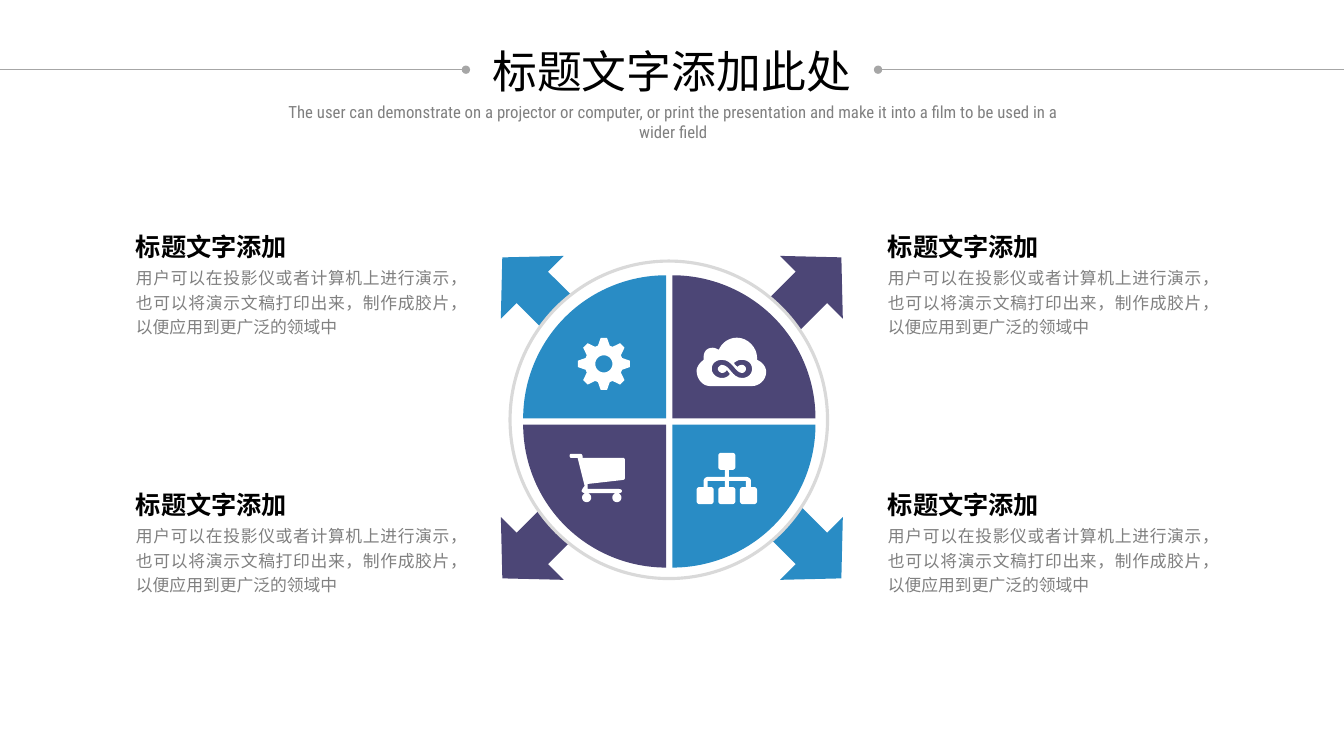
import math

import lxml.etree
import pptx
import pptx.dml.color
import pptx.enum.shapes
import pptx.enum.text
import pptx.oxml.ns
import pptx.util

Pt = pptx.util.Pt
SHAPE = pptx.enum.shapes.MSO_SHAPE
ALIGN = pptx.enum.text.PP_ALIGN
COLORS = {"blue": "298CC5", "purple": "4C4676", "white": "FFFFFF", "ring": "D9D9D9",
          "rule": "A6A6A6", "gray": "808080", "black": "000000"}
HEADING = "标题文字添加"
BODY = "用户可以在投影仪或者计算机上进行演示，也可以将演示文稿打印出来，制作成胶片，以便应用到更广泛的领域中"
SUBTITLE = ("The user can demonstrate on a projector or computer, or print the presentation "
            "and make it into a film to be used in a wider field")
ICON_UNIT = 0.72  # points per icon grid unit

# Outlines: a bare point is a straight line, C takes three points of a cubic curve.
CLOUD = ("69,34 C 69,42 62,48 55,48 13,48 C 6,48 0,41 0,33 C 0,29 3,25 7,22 "
         "C 7,21 7,20 7,19 C 7,14 10,10 16,10 C 18,10 20,11 22,12 C 25,5 32,0 40,0 "
         "C 51,0 60,10 60,20 60,22 C 65,24 69,29 69,34")
INFINITY = ("25,40 C 28,40 31,39 33,36 30,32 C 29,34 27,35 25,35 C 24,35 21,33 21,31 "
            "C 21,29 24,27 25,27 C 33,27 35,40 45,40 C 51,40 55,36 55,31 "
            "C 55,25 50,22 45,22 C 41,22 40,23 37,25 C 38,27 39,28 41,29 "
            "C 41,28 43,27 45,27 C 47,27 49,29 49,31 C 49,33 47,35 45,35 "
            "C 38,35 36,22 25,22 C 20,22 15,25 15,31 C 15,36 20,40 25,40")
CART = ("55,24 C 55,25 54,26 53,26 18,30 C 18,31 18,32 18,33 18,35 49,35 "
        "C 51,35 52,36 52,37 C 52,38 51,39 49,39 15,39 C 14,39 12,38 12,37 "
        "C 12,36 14,33 15,32 8,4 1,4 C 1,4 0,3 0,2 C 0,1 1,0 1,0 10,0 "
        "C 13,0 13,2 13,4 53,4 C 54,4 55,5 55,6")
BRANCHES = ("7,34 7,28 C 7,26 9,24 11,24 28,24 28,17 32,17 32,24 49,24 "
            "C 52,24 54,26 54,28 54,34 49,34 49,28 32,28 32,34 28,34 28,28 11,28 11,34")


def rgb(name):
    return pptx.dml.color.RGBColor.from_string(COLORS[name])


def outline(text, steps=8):
    """Turn an outline string into a list of points."""
    tokens = iter(text.split())
    pts = []

    def point(token):
        return tuple(float(v) for v in token.split(","))

    for token in tokens:
        if token != "C":
            pts.append(point(token))
            continue
        curve = [pts[-1]] + [point(next(tokens)) for _ in range(3)]
        for i in range(1, steps + 1):
            t = i / steps
            weights = ((1 - t) ** 3, 3 * t * (1 - t) ** 2, 3 * t * t * (1 - t), t ** 3)
            pts.append(tuple(sum(w * c[axis] for w, c in zip(weights, curve)) for axis in (0, 1)))
    return pts


def polar(cx, cy, radius, degrees):
    a = math.radians(degrees)
    return cx + radius * math.cos(a), cy + radius * math.sin(a)


def circle(cx, cy, radius):
    return [polar(cx, cy, radius, a) for a in range(0, 360, 10)]


def rounded_square(x, y, size=17, radius=3):
    corners = ((size - radius, size - radius, 0), (radius, size - radius, 90),
               (radius, radius, 180), (size - radius, radius, 270))
    return [polar(x + cx, y + cy, radius, start + turn)
            for cx, cy, start in corners for turn in range(0, 91, 15)]


def gear_teeth():
    profile = ((-18, 19), (-7, 26), (7, 26), (18, 19))
    return [polar(26, 26, radius, tooth + turn)
            for tooth in range(0, 360, 45) for turn, radius in profile]


ICONS = {
    "gear": [gear_teeth(), circle(26, 26, 8.5)],
    "cloud": [outline(CLOUD), outline(INFINITY)],
    "tree": [outline(BRANCHES)] + [rounded_square(x, y)
                                   for x, y in ((21.5, 0), (0, 34), (21.5, 34), (43, 34))],
    "cart": [outline(CART), circle(17, 43.5, 4.5), circle(47, 43.5, 4.5)],
}


def paint(sp, fill, line=None):
    sp.shadow.inherit = False
    sp.fill.solid()
    sp.fill.fore_color.rgb = rgb(fill)
    if line:
        sp.line.color.rgb = rgb(line)
        sp.line.width = Pt(2.25)
    else:
        sp.line.fill.background()


def add_preset(s, kind, x, y, w, h, fill, line=None, rotation=0):
    sp = s.shapes.add_shape(kind, Pt(x), Pt(y), Pt(w), Pt(h))
    sp.rotation = rotation
    paint(sp, fill, line)


def add_icon(s, name, x, y):
    contours = [[(Pt(x + px * ICON_UNIT), Pt(y + py * ICON_UNIT)) for px, py in pts]
                for pts in ICONS[name]]
    builder = s.shapes.build_freeform(*contours[0][0])
    for i, pts in enumerate(contours):
        if i:
            builder.move_to(*pts[0])
        builder.add_line_segments(pts[1:], close=True)
    paint(builder.convert_to_shape(), "white")


def add_text(s, x, y, w, h, text, color, align, spacing=None, wrap=True, **font):
    tf = s.shapes.add_textbox(Pt(x), Pt(y), Pt(w), Pt(h)).text_frame
    tf.word_wrap = wrap
    tf.auto_size = pptx.enum.text.MSO_AUTO_SIZE.SHAPE_TO_FIT_TEXT
    p = tf.paragraphs[0]
    p.alignment, p.line_spacing = align, spacing
    r = p.add_run()
    r.text = text
    r.font.color.rgb = rgb(color)
    for key, value in font.items():
        setattr(r.font, key, value)


def add_rule(s, x1, x2, y):
    """Draw a thin rule that ends in a dot at x2."""
    ln = s.shapes.add_connector(pptx.enum.shapes.MSO_CONNECTOR.STRAIGHT,
                                Pt(x1), Pt(y), Pt(x2), Pt(y))
    ln.line.color.rgb = rgb("rule")
    ln.line.width = Pt(0.5)
    qn, spPr = pptx.oxml.ns.qn, ln._element.spPr
    lxml.etree.SubElement(spPr.find(qn("a:ln")), qn("a:tailEnd"), type="oval")
    lxml.etree.SubElement(spPr, qn("a:effectLst"))


def add_header(s, x, y, w):
    rule_y, rule_w = y + 22.4, 332.8
    add_rule(s, x, x + rule_w, rule_y)
    add_rule(s, x + w, x + w - rule_w, rule_y)
    add_text(s, x + 343.4, y, 272.9, 46.1, "标题文字添加此处", "black", ALIGN.CENTER,
             wrap=False, size=Pt(32), name="Roboto Condensed")
    add_text(s, x + 198, y + 41.8, 565.9, 21.6, SUBTITLE, "gray", ALIGN.CENTER,
             size=Pt(12), name="Roboto Condensed")


def add_wheel(s, x, y, w, h):
    """Place four arrows, the disc and four quarters with icons, clockwise from top left."""
    quarters = (  # column, row, colour, icon, icon offset
        (0, 0, "blue", "gear", 38.9, 44.6), (1, 0, "purple", "cloud", 17.3, 44.6),
        (1, 1, "blue", "tree", 17.3, 20.2), (0, 1, "purple", "cart", 33.1, 20.9))
    arrow_w, arrow_h = 63.4, 60.5
    disc, wedge, step = 226.8, 102.2, 106.6
    for i, (col, row, color, *_) in enumerate(quarters):
        add_preset(s, SHAPE.UP_ARROW, x + col * (w - arrow_w), y + row * (h - arrow_h),
                   arrow_w, arrow_h, color, rotation=(315 + 90 * i) % 360)
    add_preset(s, SHAPE.OVAL, x + 15.8, y + 11.5, disc, disc, "white", "ring")
    for i, (col, row, color, icon, dx, dy) in enumerate(quarters):
        wx, wy = x + 25.2 + col * step, y + 21.6 + row * step
        add_preset(s, SHAPE.PIE_WEDGE, wx, wy, wedge, wedge, color, rotation=90 * i)
        add_icon(s, icon, wx + dx, wy + dy)


def add_caption(s, x, y, w):
    add_text(s, x, y + 27.4, w, 59.8, BODY, "gray", ALIGN.JUSTIFY, 1.2,
             size=Pt(12), name="Arial")
    add_text(s, x, y, 164.2, 33.8, HEADING, "black", ALIGN.JUSTIFY, 1.2,
             size=Pt(18), name="Arial", bold=True)


def main():
    prs = pptx.Presentation()
    prs.slide_width, prs.slide_height = Pt(960), Pt(540)
    s = prs.slides.add_slide(prs.slide_layouts[6])
    add_wheel(s, 348.5, 175, 262.8, 247)
    add_header(s, 0, 27.4, 960)
    for x in (627.1, 90):
        for y in (157.7, 342):
            add_caption(s, x, y, 239)
    prs.save("out.pptx")


if __name__ == "__main__":
    main()
